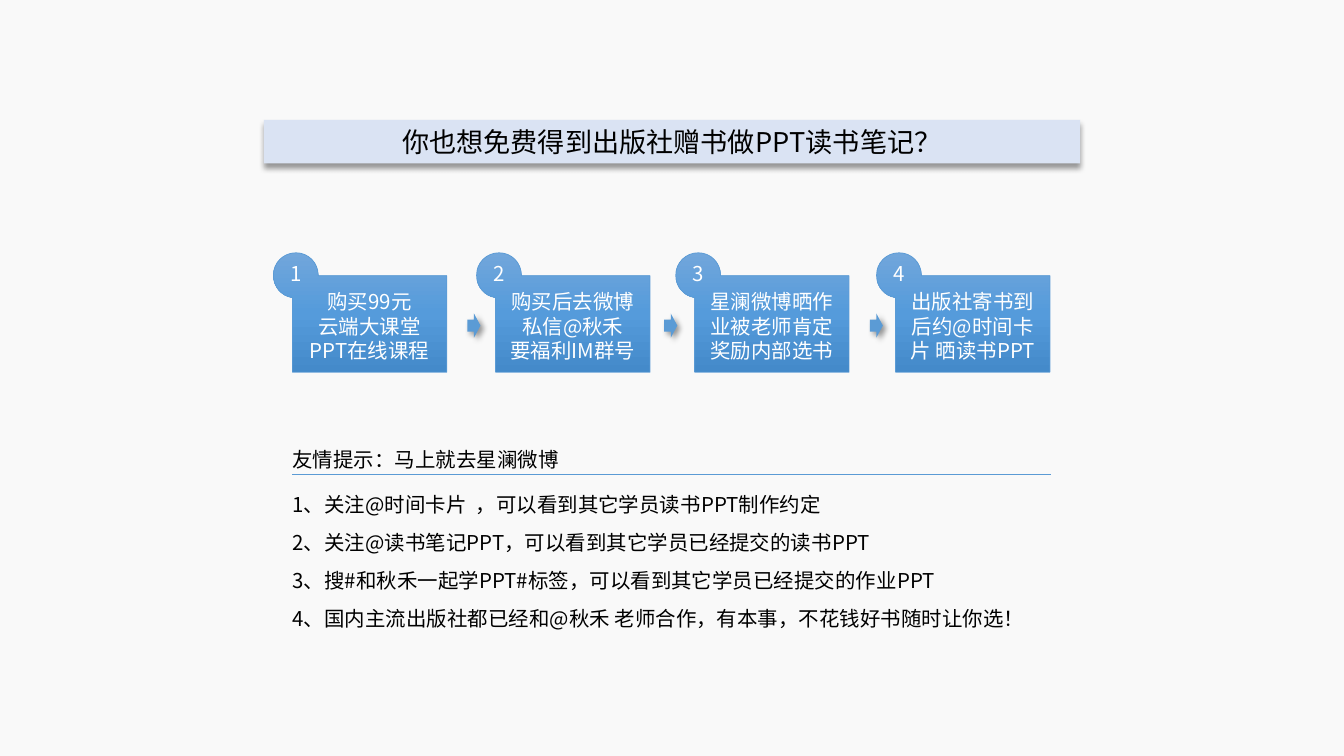
"""Build a slide with four steps for earning free books and a list of tips."""
from copy import deepcopy

from lxml import etree
from pptx import Presentation
from pptx.dml.color import RGBColor
from pptx.enum.shapes import MSO_CONNECTOR, MSO_SHAPE
from pptx.enum.text import MSO_ANCHOR, PP_ALIGN
from pptx.oxml.ns import qn
from pptx.util import Cm, Pt

RECTANGLE, ARROW = MSO_SHAPE.RECTANGLE, MSO_SHAPE.RIGHT_ARROW
STRAIGHT = MSO_CONNECTOR.STRAIGHT
LEFT, CENTER = PP_ALIGN.LEFT, PP_ALIGN.CENTER
TOP, MIDDLE = MSO_ANCHOR.TOP, MSO_ANCHOR.MIDDLE
FONT = "Noto Sans CJK SC"
BLUE, BLACK, WHITE = "5B9BD5", "000000", "FFFFFF"


def rgb(color):
    return RGBColor.from_string(color)


def write(shape, lines, size=14.6, color=WHITE, align=CENTER, anchor=TOP, gaps=None):
    frame = shape.text_frame
    frame.word_wrap = True
    frame.vertical_anchor = anchor
    for index, line in enumerate(lines):
        paragraph = frame.add_paragraph() if index else frame.paragraphs[0]
        paragraph.alignment = align
        if gaps and index:
            paragraph.space_before = Pt(gaps[index])
        run = paragraph.add_run()
        run.text = line
        run.font.size = Pt(size)
        run.font.name = FONT
        run.font.color.rgb = rgb(color)
        etree.SubElement(run.font._element, qn("a:ea"), typeface=FONT)


prs = Presentation()
prs.slide_width, prs.slide_height = Cm(33.87), Cm(19.05)
slide = prs.slides.add_slide(prs.slide_layouts[6])
slide.background.fill.solid()
slide.background.fill.fore_color.rgb = rgb("F9F9F9")
shapes = slide.shapes

title = shapes.add_shape(RECTANGLE, Cm(6.65), Cm(3.02), Cm(20.57), Cm(1.1))
write(title, ["你也想免费得到出版社赠书做PPT读书笔记？"], size=19.4, color=BLACK, anchor=MIDDLE)
shadowed = [(title, "DAE3F3", 90)]
for left in (11.78, 16.74, 21.92):
    arrow = shapes.add_shape(ARROW, Cm(left), Cm(7.9), Cm(0.33), Cm(0.61))
    shadowed.append((arrow, BLUE, 45))

for shape, color, direction in shadowed:
    shape.fill.solid()
    shape.fill.fore_color.rgb = rgb(color)
    shape.line.fill.background()
    shape.shadow.inherit = False
    effects = shape._element.spPr.find(qn("a:effectLst"))
    shadow = etree.SubElement(effects, qn("a:outerShdw"), blurRad=str(Pt(4)),
                              dist=str(Pt(3)), dir=str(direction * 60000))
    shade = etree.SubElement(shadow, qn("a:srgbClr"), val=BLACK)
    etree.SubElement(shade, qn("a:alpha"), val="40000")

tips = shapes.add_textbox(Cm(7.12), Cm(11.08), Cm(20.35), Cm(4.98))
write(tips, [
    "友情提示：马上就去星澜微博",
    "1、关注@时间卡片  ，可以看到其它学员读书PPT制作约定",
    "2、关注@读书笔记PPT，可以看到其它学员已经提交的读书PPT",
    "3、搜#和秋禾一起学PPT#标签，可以看到其它学员已经提交的作业PPT",
    "4、国内主流出版社都已经和@秋禾 老师合作，有本事，不花钱好书随时让你选！",
], color=BLACK, align=LEFT, anchor=MIDDLE, gaps=(0, 14.6, 9.7, 9.7, 9.7))
underline = shapes.add_connector(STRAIGHT, Cm(7.37), Cm(11.96), Cm(26.49), Cm(11.96))
underline.line.color.rgb = rgb(BLUE)
underline.line.width = Pt(0.5)
etree.SubElement(underline._element.spPr, qn("a:effectLst"))

steps = [
    (6.89, 0, ["购买99元", "云端大课堂", "PPT在线课程"]),
    (12.01, 0.19, ["购买后去微博", "私信@秋禾", "要福利IM群号"]),
    (17.03, 0, ["星澜微博晒作业被老师肯定奖励内部选书"]),
    (22.09, 0, ["出版社寄书到后约@时间卡片 晒读书PPT"]),
]
card_top, badge_size = 6.37, 1.13
body_left, body_top, body_right, body_bottom = 0.48, 0.58, 4.37, 3.01
outline = [
    (0.57, 0), (0.88, 0), (badge_size, 0.25), (badge_size, 0.57),
    (badge_size, body_top), (body_right, body_top), (body_right, body_bottom),
    (body_left, body_bottom), (body_left, badge_size),
    (0.2, 1.09), (0, 0.85), (0, 0.57), (0, 0.25), (0.25, 0), (0.57, 0),
]
curve_starts = (0, 8, 11)
for number, (left, extra, lines) in enumerate(steps, 1):
    points = [(Cm(left + x), Cm(card_top + y)) for x, y in outline]
    builder = shapes.build_freeform(*points[0])
    builder.add_line_segments(points[1:], close=True)
    card = builder.convert_to_shape()
    segments = list(card._element.iter(qn("a:lnTo")))
    for start in curve_starts:
        curve = etree.Element(qn("a:cubicBezTo"))
        segments[start].addprevious(curve)
        for segment in segments[start:start + 3]:
            curve.append(segment[0])
            segment.getparent().remove(segment)
    card.shadow.inherit = False
    card.line.color.rgb = rgb(BLUE)
    card.line.width = Pt(0.5)
    card.fill.gradient()
    card.fill.gradient_angle = 270
    stop_list = card._element.spPr.find(qn("a:gradFill")).find(qn("a:gsLst"))
    stop_list.append(deepcopy(stop_list[-1]))
    for index, color in enumerate(("71A6DB", "559BDB", "448ACA")):
        stop = card.fill.gradient_stops[index]
        stop.position = index / 2
        stop.color.rgb = rgb(color)

    body = shapes.add_textbox(Cm(left + body_left - extra), Cm(7.16),
                              Cm(body_right - body_left + 2 * extra), Cm(2.13))
    write(body, lines)
    badge = shapes.add_textbox(Cm(left), Cm(6.45), Cm(badge_size), Cm(0.89))
    write(badge, [str(number)])

prs.save("out.pptx")
